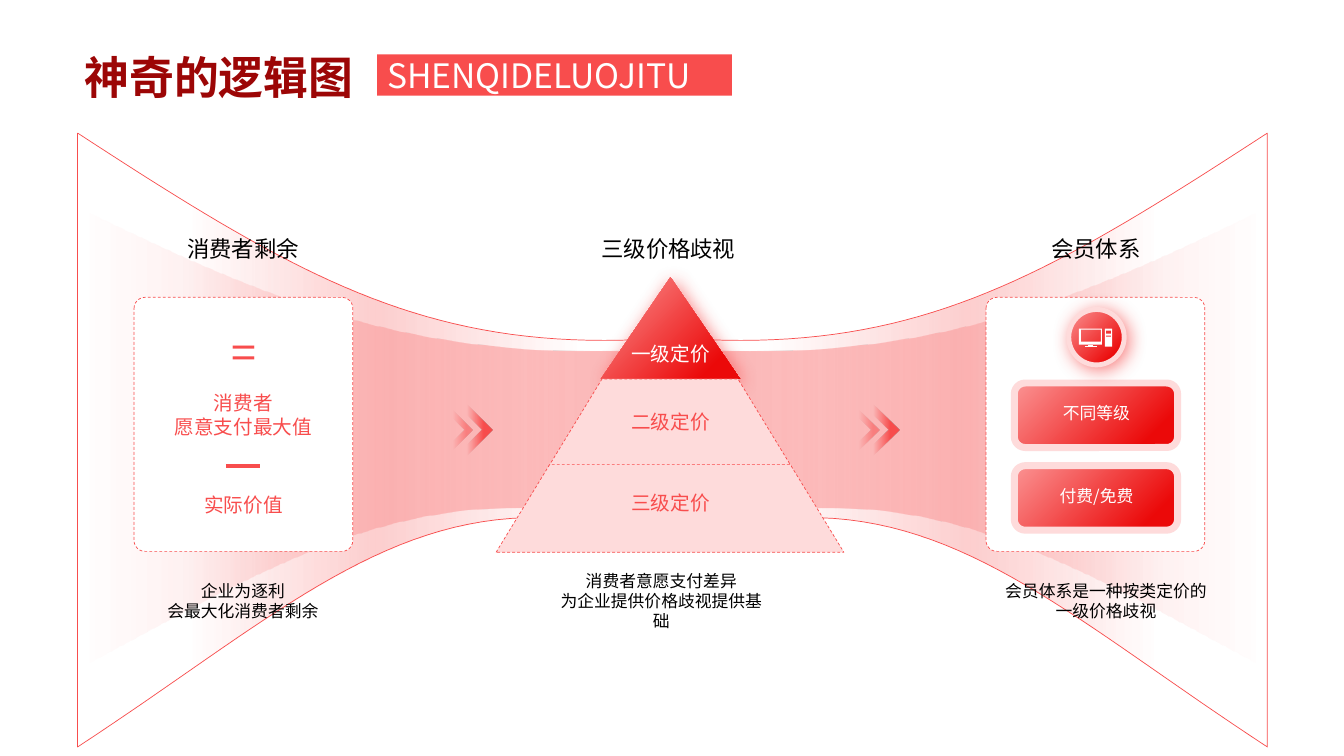
from lxml.etree import SubElement
from pptx import Presentation
from pptx.dml.color import RGBColor
from pptx.enum.dml import MSO_LINE
from pptx.enum.shapes import MSO_CONNECTOR, MSO_SHAPE
from pptx.enum.text import MSO_ANCHOR, PP_ALIGN
from pptx.oxml.ns import qn
from pptx.util import Inches, Pt

RED = RGBColor(0xF8, 0x4D, 0x4D)
DARK_RED = RGBColor(0x9C, 0x06, 0x06)
LIGHT_RED = RGBColor(0xFB, 0x94, 0x94)
BRIGHT_RED = RGBColor(0xEB, 0x09, 0x09)
PINK = RGBColor(0xFE, 0xDB, 0xDB)
WHITE = RGBColor(0xFF, 0xFF, 0xFF)
BLACK = RGBColor(0, 0, 0)
BODY_FONT = "Noto Sans CJK JP"
TITLE_FONT = "Noto Sans CJK SC"
GLOSS = ((0, LIGHT_RED, 100), (84, BRIGHT_RED, 100))
CENTER = 6.67


def add_color(parent, color, alpha):
    node = SubElement(parent, qn("a:srgbClr"), val=str(color))
    if alpha < 100:
        SubElement(node, qn("a:alpha"), val=str(alpha * 1000))


def set_gradient(fill, parent, stops, angle):
    fill.gradient()
    fill.gradient_angle = -angle % 360
    stop_list = parent.find(qn("a:gradFill")).find(qn("a:gsLst"))
    for stop in list(stop_list):
        stop_list.remove(stop)
    for position, color, alpha in stops:
        add_color(SubElement(stop_list, qn("a:gs"), pos=str(position * 1000)), color, alpha)


def paint(shape, fill, angle=45, line=None, weight=0.5, dash=False):
    shape.shadow.inherit = False
    if isinstance(fill, RGBColor):
        shape.fill.solid()
        shape.fill.fore_color.rgb = fill
    else:
        set_gradient(shape.fill, shape._element.spPr, fill, angle)
    if line is None:
        shape.line.fill.background()
        return
    shape.line.color.rgb = line
    shape.line.width = Pt(weight)
    if dash:
        shape.line.dash_style = MSO_LINE.DASH


def add_preset(page, kind, left, top, width, height, fill, adjustments=(), **style):
    shape = page.shapes.add_shape(kind, Inches(left), Inches(top), Inches(width), Inches(height))
    for index, value in enumerate(adjustments):
        shape.adjustments[index] = value
    paint(shape, fill, **style)
    return shape


def add_glow(shape):
    effects = shape._element.spPr.find(qn("a:effectLst"))
    glow = SubElement(effects, qn("a:outerShdw"), blurRad=str(Pt(13)), dist=str(Pt(3)),
                      dir="2700000", algn="tl", rotWithShape="0")
    add_color(glow, RED, 70)


def add_outline(page, contours, fill, **style):
    scaled = [[(Inches(x), Inches(y)) for x, y in contour] for contour in contours]
    builder = page.shapes.build_freeform(*scaled[0][0], scale=1.0)
    for index, contour in enumerate(scaled):
        if index:
            builder.move_to(*contour[0])
        builder.add_line_segments(contour[1:], close=True)
    paint(builder.convert_to_shape(), fill, **style)


def curve(start, first, second, end, steps=40):
    points = []
    for step in range(steps + 1):
        t = step / steps
        weights = ((1 - t) ** 3, 3 * t * (1 - t) ** 2, 3 * t * t * (1 - t), t ** 3)
        points.append(tuple(sum(weight * point[axis] for weight, point
                                in zip(weights, (start, first, second, end)))
                            for axis in (0, 1)))
    return points


def add_wings(page, upper, lower, stops, line=None):
    left_side = curve(*upper) + curve(*lower)
    right_side = [(2 * CENTER - x, y) for x, y in left_side]
    mirrored = [(100 - position, color, alpha) for position, color, alpha in reversed(stops)]
    add_outline(page, [right_side], mirrored, angle=0, line=line)
    add_outline(page, [left_side], stops, angle=0, line=line)


def add_label(page, left, top, width, height, lines, size, color, inset=(0, 0),
              anchor=MSO_ANCHOR.TOP, align=PP_ALIGN.CENTER, wrap=True, font=BODY_FONT, bold=False):
    box = page.shapes.add_textbox(Inches(left), Inches(top), Inches(width), Inches(height))
    frame = box.text_frame
    frame.word_wrap = wrap
    frame.vertical_anchor = anchor
    frame.margin_left = frame.margin_right = Inches(inset[0])
    frame.margin_top = frame.margin_bottom = Inches(inset[1])
    for index, line in enumerate(lines):
        para = frame.add_paragraph() if index else frame.paragraphs[0]
        para.alignment = align
        span = para.add_run()
        span.text = line
        span.font.size = Pt(size)
        span.font.bold = bold
        span.font.name = font
        properties = span._r.get_or_add_rPr()
        if isinstance(color, RGBColor):
            span.font.color.rgb = color
        else:
            set_gradient(span.font.fill, properties, color, 225)
        SubElement(properties, qn("a:ea"), typeface=font)


def add_stage_text(page, heading_center, heading, caption_center, caption):
    for center, top, height, lines, size in ((heading_center, 2.28, 0.38, [heading], 16),
                                             (caption_center, 5.73, 0.46, caption, 12)):
        add_label(page, center - 1.1, top, 2.2, height, lines, size, BLACK,
                  inset=(0.03, 0.03), anchor=MSO_ANCHOR.MIDDLE, wrap=False)


def add_card(page, left):
    add_preset(page, MSO_SHAPE.ROUNDED_RECTANGLE, left, 2.95, 2.17, 2.52, WHITE, (0.05,),
               line=RED, dash=True)


def add_chevrons(page, left):
    for offset, top, size, alpha in ((0.1, 4.08, 0.37, 100), (0, 4.12, 0.29, 52)):
        chevron = add_preset(page, MSO_SHAPE.HALF_FRAME, left + offset, top, size, size,
                             ((52, RED, 0), (83, RED, alpha)), (0.21, 0.2), angle=225)
        chevron.rotation = 135


def add_surplus_card(page):
    add_card(page, 1.33)
    add_label(page, 2.01, 3.22, 0.81, 0.49, ["="], 32, RED)
    add_label(page, 1.43, 3.88, 1.97, 0.47, ["消费者", "愿意支付最大值"], 14, RED)
    add_label(page, 1.43, 4.89, 1.97, 0.24, ["实际价值"], 14, RED)
    minus = page.shapes.add_connector(MSO_CONNECTOR.STRAIGHT, Inches(2.24), Inches(4.62),
                                      Inches(2.58), Inches(4.62))
    minus.line.color.rgb = RED
    minus.line.width = Pt(2.75)
    SubElement(minus._element.spPr, qn("a:effectLst"))


def add_pyramid(page):
    peak = add_preset(page, MSO_SHAPE.ISOSCELES_TRIANGLE, 5.96, 2.75, 1.38, 1.01, GLOSS)
    add_glow(peak)
    for left, top, width in ((5.44, 3.76, 2.41), (4.92, 4.61, 3.45)):
        add_preset(page, MSO_SHAPE.TRAPEZOID, left, top, width, 0.87, PINK, (0.61,),
                   line=RED, dash=True)
    for top, text, color in ((3.39, "一级定价", WHITE), (4.07, "二级定价", RED),
                             (4.87, "三级定价", RED)):
        add_label(page, 6.23, top, 0.84, 0.24, [text], 14, color)


def rectangle(left, top, right, bottom):
    return [(left, top), (right, top), (right, bottom), (left, bottom)]


def add_computer(page):
    disc = add_preset(page, MSO_SHAPE.OVAL, 10.6, 3.07, 0.55, 0.55, GLOSS, line=PINK, weight=3.5)
    add_glow(disc)
    monitor = [rectangle(10.7, 3.26, 10.93, 3.42), rectangle(10.72, 3.27, 10.92, 3.39)]
    stand = [rectangle(10.79, 3.42, 10.84, 3.43)]
    foot = [rectangle(10.76, 3.43, 10.88, 3.44)]
    tower = [rectangle(10.96, 3.26, 11.03, 3.44), rectangle(10.97, 3.28, 11.02, 3.31),
             rectangle(10.97, 3.33, 11.02, 3.34)]
    for part in (monitor, stand, foot, tower):
        add_outline(page, part, WHITE)


def add_member_card(page):
    add_card(page, 9.78)
    for top, text in ((3.8, "不同等级"), (4.62, "付费/免费")):
        add_preset(page, MSO_SHAPE.ROUNDED_RECTANGLE, 10.06, top, 1.62, 0.64, GLOSS,
                   (0.17,), line=PINK, weight=5)
        add_label(page, 10.25, top + 0.2, 1.25, 0.24, [text], 12, WHITE)
    add_computer(page)


def add_title(page):
    add_label(page, 0.74, 0.44, 3.47, 0.64, ["神奇的逻辑图"], 32,
              ((0, DARK_RED, 100), (100, RED, 100)), inset=(0.1, 0.05),
              align=PP_ALIGN.LEFT, font=TITLE_FONT, bold=True)
    add_preset(page, MSO_SHAPE.RECTANGLE, 3.74, 0.54, 3.52, 0.41, RED)
    add_label(page, 3.74, 0.49, 3.52, 0.5, ["SHENQIDELUOJITU"], 24, WHITE, inset=(0.1, 0.05),
              anchor=MSO_ANCHOR.MIDDLE, align=PP_ALIGN.JUSTIFY)


def main():
    deck = Presentation()
    deck.slide_width, deck.slide_height = Inches(13.33), Inches(7.5)
    page = deck.slides.add_slide(deck.slide_layouts[6])
    add_wings(page, ((CENTER, 3.35), (4.31, 3.53), (3.04, 2.8), (0.77, 1.32)),
              ((0.77, 7.41), (3.08, 5.9), (4.29, 4.57), (CENTER, 5.38)),
              ((19, RED, 0), (50, RED, 27), (84, RED, 0)), line=RED)
    add_wings(page, ((CENTER, 3.46), (4, 3.62), (2.57, 2.97), (0, 1.66)),
              ((0, 7.05), (2.61, 5.71), (3.98, 4.54), (CENTER, 5.25)),
              ((13, RED, 0), (91, RED, 40)))
    add_member_card(page)
    add_surplus_card(page)
    add_pyramid(page)
    add_stage_text(page, 2.41, "消费者剩余", 2.41, ["企业为逐利", "会最大化消费者剩余"])
    add_stage_text(page, 6.63, "三级价格歧视", 6.56, ["消费者意愿支付差异", "为企业提供价格歧视提供基础"])
    add_stage_text(page, 10.87, "会员体系", 10.97, ["会员体系是一种按类定价的", "一级价格歧视"])
    for left in (4.34, 8.37):
        add_chevrons(page, left)
    add_title(page)
    deck.save("out.pptx")


if __name__ == "__main__":
    main()
